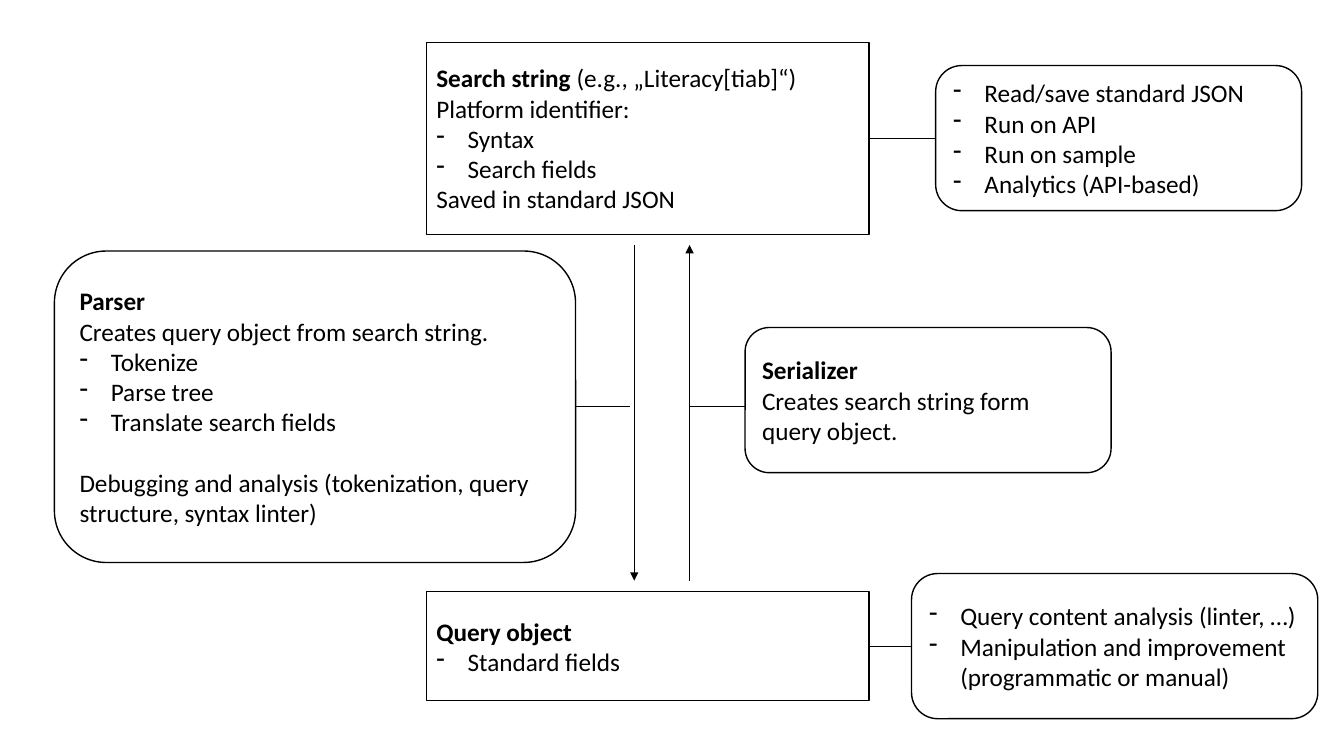
from dataclasses import dataclass
from lxml.etree import SubElement
from pptx import Presentation
from pptx.dml.color import RGBColor
from pptx.enum.shapes import MSO_CONNECTOR, MSO_SHAPE
from pptx.enum.text import MSO_ANCHOR, PP_ALIGN
from pptx.oxml.ns import qn
from pptx.util import Inches, Pt

WIDTH, HEIGHT = Inches(13.33), Inches(7.5)


@dataclass(frozen=True)
class Theme:
    """Colours, type and line sizes of the slide."""
    ink: RGBColor = RGBColor(0, 0, 0)
    paper: RGBColor = RGBColor(255, 255, 255)
    font: str = "Calibri"
    size: Pt = Pt(18)
    skip: Pt = Pt(21.6)
    edge: Pt = Pt(1)
    thin: Pt = Pt(0.5)
    dent: Inches = Inches(0.31)


@dataclass(frozen=True)
class Line:
    """One paragraph: a bold lead, plain text, a dash and a gap above."""
    text: str = ""
    lead: str = ""
    dash: bool = False
    gap: bool = False


THEME = Theme()


def across(share):
    """Turn a percentage of the slide's width into a length."""
    return round(WIDTH * share / 100)


def down(share):
    """Turn a percentage of the slide's height into a length."""
    return round(HEIGHT * share / 100)


def items(*texts):
    """Make dashed lines from texts."""
    return [Line(text, dash=True) for text in texts]


def add_dash(para):
    """Give a paragraph a hanging dash."""
    props = para._p.get_or_add_pPr()
    props.set("marL", str(THEME.dent))
    props.set("indent", str(-THEME.dent))
    SubElement(props, qn("a:buChar")).set("char", "-")


def write(para, line):
    """Fill a paragraph with a line of text."""
    para.alignment = PP_ALIGN.LEFT
    if line.gap:
        para.space_before = THEME.skip
    if line.dash:
        add_dash(para)
    para.font.name = THEME.font
    para.font.size = THEME.size
    para.font.color.rgb = THEME.ink
    for text, bold in ((line.lead, True), (line.text, False)):
        if text:
            run = para.add_run()
            run.text = text
            run.font.bold = bold


def add_box(slide, kind, area, lines, bend=None):
    """Draw an outlined box with text; area is in shares of the slide."""
    left, top, width, height = area
    box = slide.shapes.add_shape(
        kind, across(left), down(top), across(width), down(height))
    box.shadow.inherit = False
    box.fill.solid()
    box.fill.fore_color.rgb = THEME.paper
    box.line.color.rgb = THEME.ink
    box.line.width = THEME.edge
    if bend:
        box.adjustments[0] = bend
    frame = box.text_frame
    frame.word_wrap = True
    frame.vertical_anchor = MSO_ANCHOR.MIDDLE
    for index, line in enumerate(lines):
        para = frame.add_paragraph() if index else frame.paragraphs[0]
        write(para, line)
    return box


def add_link(slide, start, end, arrow=False):
    """Draw a thin line between two points, with an arrowhead if asked."""
    link = slide.shapes.add_connector(MSO_CONNECTOR.STRAIGHT, *start, *end)
    link.line.color.rgb = THEME.ink
    link.line.width = THEME.thin
    if arrow:
        SubElement(link.line._get_or_add_ln(), qn("a:tailEnd")).set("type", "triangle")
    SubElement(link._element.spPr, qn("a:effectLst"))


def right(box):
    """Find the right edge of a box."""
    return box.left + box.width


def middle(box):
    """Find the middle height of a box."""
    return box.top + box.height // 2


def main():
    """Build the slide and save it."""
    deck = Presentation()
    deck.slide_width, deck.slide_height = WIDTH, HEIGHT
    slide = deck.slides.add_slide(deck.slide_layouts[6])
    rect, pill = MSO_SHAPE.RECTANGLE, MSO_SHAPE.ROUNDED_RECTANGLE

    search = add_box(slide, rect, (31.73, 5.6, 32.93, 25.4), [
        Line("(e.g., „Literacy[tiab]“)", lead="Search string "),
        Line("Platform identifier:"),
        *items("Syntax", "Search fields"),
        Line("Saved in standard JSON")])
    query = add_box(slide, rect, (31.73, 78.27, 32.93, 14.4), [
        Line(lead="Query object"), *items("Standard fields")])
    parser = add_box(slide, pill, (4.05, 33.2, 38.78, 41.2), [
        Line(lead="Parser"),
        Line("Creates query object from search string."),
        *items("Tokenize", "Parse tree", "Translate search fields"),
        Line("Debugging and analysis (tokenization, query structure, "
             "syntax linter)", gap=True)])
    serial = add_box(slide, pill, (55.44, 43.33, 27.23, 19.2), [
        Line(lead="Serializer"),
        Line("Creates search string form query object.")])
    study = add_box(slide, pill, (67.82, 75.87, 30.23, 19.2), items(
        "Query content analysis (linter, …)",
        "Manipulation and improvement (programmatic or manual)"), 0.18)
    usage = add_box(slide, pill, (69.62, 8.67, 27.23, 19.2), items(
        "Read/save standard JSON", "Run on API", "Run on sample",
        "Analytics (API-based)"), 0.18)

    fall, rise = across(47.19), across(51.31)
    high, low = down(32.4), down(76.8)
    add_link(slide, (fall, high), (fall, low), arrow=True)
    add_link(slide, (rise, low), (rise, high), arrow=True)
    for start, end, level in (
            (right(search), usage.left, usage),
            (right(parser), across(46.89), parser),
            (rise, serial.left, parser),
            (right(query), study.left, study)):
        add_link(slide, (start, middle(level)), (end, middle(level)))
    deck.save("out.pptx")


if __name__ == "__main__":
    main()
